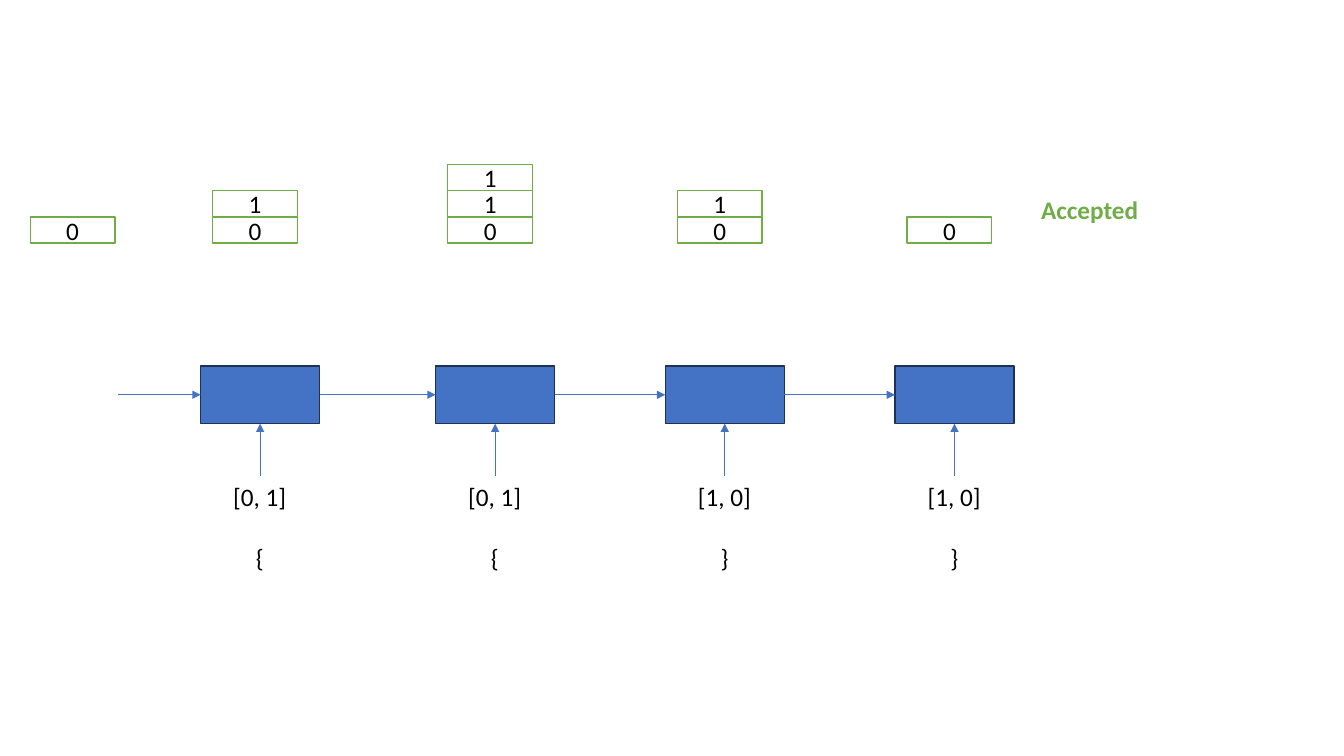
from lxml.etree import SubElement
from pptx import Presentation
from pptx.dml.color import RGBColor
from pptx.enum.shapes import MSO_CONNECTOR, MSO_SHAPE
from pptx.enum.text import MSO_ANCHOR, MSO_AUTO_SIZE, PP_ALIGN
from pptx.oxml.ns import qn
from pptx.util import Pt

COLORS = {
    "blue": "4472C4",
    "navy": "1E3256",
    "green": "70AD47",
    "white": "FFFFFF",
    "black": "000000",
}
UNIT_TOP, UNIT_WIDTH, UNIT_HEIGHT = 261.4, 85, 41.2
UNIT_MIDDLE = UNIT_TOP + UNIT_HEIGHT / 2
INPUT_TOP, TOKEN_TOP = 340, 384
STACK_WIDTH, STACK_HEIGHT, STACK_BASE, STACK_PITCH = 60.5, 18.8, 154.9, 18.8
STACK_INDENT = 8.7

# Left edge, input vector, token, and stack from bottom to top
STEPS = [
    (143.3, "[0, 1]", "{", "01"),
    (311.2, "[0, 1]", "{", "011"),
    (475.2, "[1, 0]", "}", "01"),
    (639.3, "[1, 0]", "}", "0"),
]


def rgb(name):
    return RGBColor.from_string(COLORS[name])


def add_rectangle(page, left, top, width, height, fill, line):
    box = page.shapes.add_shape(
        MSO_SHAPE.RECTANGLE, Pt(left), Pt(top), Pt(width), Pt(height)
    )
    box.shadow.inherit = False
    box.fill.solid()
    box.fill.fore_color.rgb = rgb(fill)
    box.line.color.rgb = rgb(line)
    box.line.width = Pt(1)
    return box


def write(box, text, color="black", bold=False):
    para = box.text_frame.paragraphs[0]
    para.text = text
    para.font.name = "Calibri"
    para.font.size = Pt(18)
    para.font.bold = bold
    para.font.color.rgb = rgb(color)
    return para


def add_label(page, left, top, width, text, color="black", bold=False):
    box = page.shapes.add_textbox(Pt(left), Pt(top), Pt(width), Pt(29))
    box.text_frame.word_wrap = False
    box.text_frame.auto_size = MSO_AUTO_SIZE.SHAPE_TO_FIT_TEXT
    write(box, text, color, bold)


def add_stack(page, left, values):
    """Pile up one cell per value, starting at the base."""
    for level, value in enumerate(values):
        top = STACK_BASE - level * STACK_PITCH
        cell = add_rectangle(
            page, left, top, STACK_WIDTH, STACK_HEIGHT, "white", "green"
        )
        cell.text_frame.vertical_anchor = MSO_ANCHOR.MIDDLE
        write(cell, value).alignment = PP_ALIGN.CENTER


def add_arrow(page, x1, y1, x2, y2):
    arrow = page.shapes.add_connector(
        MSO_CONNECTOR.STRAIGHT, Pt(x1), Pt(y1), Pt(x2), Pt(y2)
    )
    arrow.line.color.rgb = rgb("blue")
    arrow.line.width = Pt(0.5)
    SubElement(arrow.line._get_or_add_ln(), qn("a:tailEnd"), type="triangle")
    SubElement(arrow._element.spPr, qn("a:effectLst"))
    return arrow


def add_step(page, left, vector, token, stack, previous):
    """Add one unit with its input, its stack and the arrows into it."""
    unit = add_rectangle(
        page, left, UNIT_TOP, UNIT_WIDTH, UNIT_HEIGHT, "blue", "navy"
    )
    center = left + UNIT_WIDTH / 2
    start = previous.left.pt + UNIT_WIDTH if previous else 84.2
    state_arrow = add_arrow(page, start, UNIT_MIDDLE, left, UNIT_MIDDLE)
    if previous:
        state_arrow.begin_connect(previous, 3)
    state_arrow.end_connect(unit, 1)
    input_arrow = add_arrow(
        page, center, INPUT_TOP, center, UNIT_TOP + UNIT_HEIGHT
    )
    input_arrow.end_connect(unit, 2)
    for top, width, text in ((INPUT_TOP, 52.6, vector), (TOKEN_TOP, 20.2, token)):
        add_label(page, center - width / 2, top, width, text)
    add_stack(page, left + STACK_INDENT, stack)
    return unit


def main():
    deck = Presentation()
    deck.slide_width, deck.slide_height = Pt(960), Pt(540)
    page = deck.slides.add_slide(deck.slide_layouts[6])
    add_stack(page, 21.6, "0")
    unit = None
    for step in STEPS:
        unit = add_step(page, *step, unit)
    add_label(page, 736.6, 135.4, 83.5, "Accepted", "green", True)
    deck.save("out.pptx")


if __name__ == "__main__":
    main()
